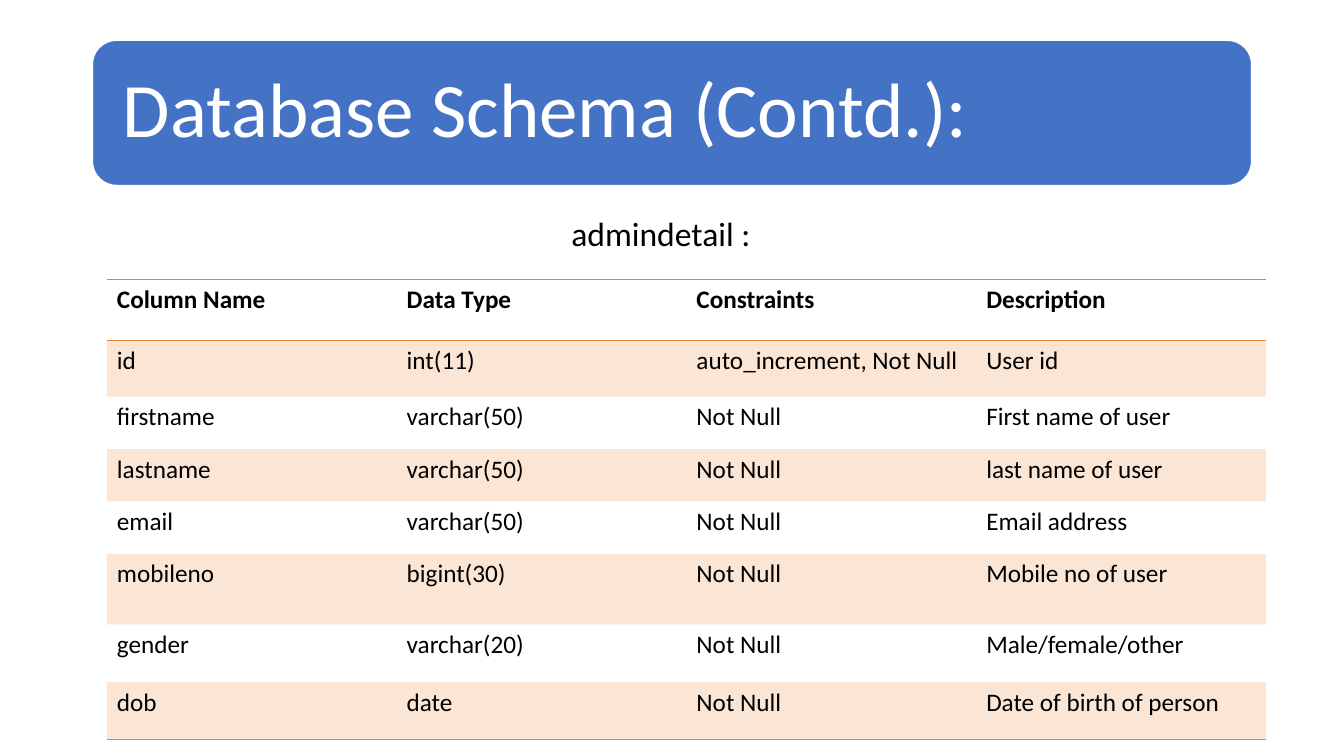
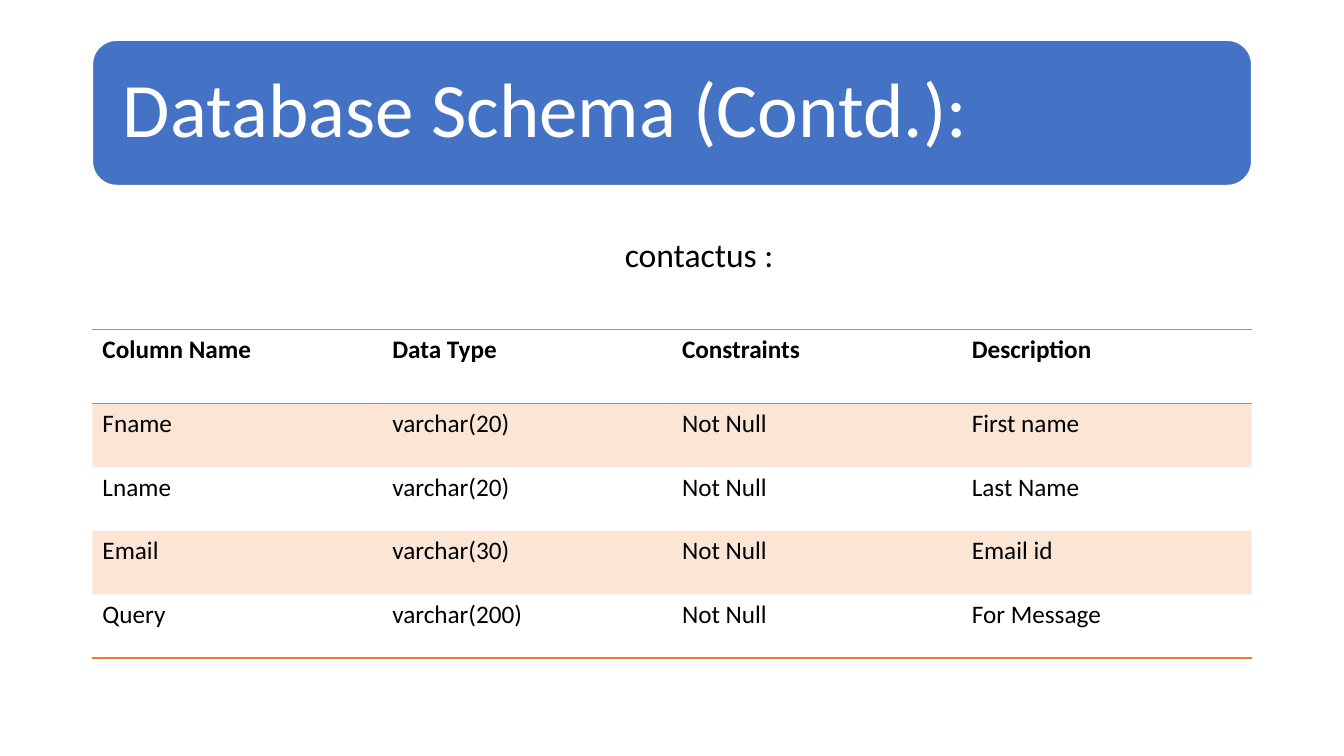
"""Build the database schema slides."""
from dataclasses import dataclass

from lxml import etree
from pptx import Presentation
from pptx import util as u
from pptx.dml.color import RGBColor
from pptx.enum import shapes, text
from pptx.oxml import ns

HEADINGS = ("Column Name", "Data Type", "Constraints", "Description")
ADMIN_FIELDS = (
    ("id", "int(11)", "auto_increment, Not Null", "User id"),
    ("firstname", "varchar(50)", "Not Null", "First name of user"),
    ("lastname", "varchar(50)", "Not Null", "last name of user"),
    ("email", "varchar(50)", "Not Null", "Email address"),
    ("mobileno", "bigint(30)", "Not Null", "Mobile no of user"),
    ("gender", "varchar(20)", "Not Null", "Male/female/other"),
    ("dob", "date", "Not Null", "Date of birth of person"),
)
CONTACT_FIELDS = (
    ("Fname", "varchar(20)", "Not Null", "First name"),
    ("Lname", "varchar(20)", "Not Null", "Last Name"),
    ("Email", "varchar(30)", "Not Null", "Email id"),
    ("Query", "varchar(200)", "Not Null", "For Message"),
)


@dataclass(frozen=True)
class Theme:
    """Colours, fonts, type sizes and the slide grid."""
    font: str = "Calibri"
    ink: str = "000000"
    paper: str = "FFFFFF"
    band: str = "4472C4"
    accent: str = "ED7D31"
    stripe_opacity: int = 20
    title_size: int = 55
    label_size: int = 24
    cell_size: int = 18
    rule_width: int = 1
    columns: int = 160
    rows: int = 90
    margin: int = 11
    content_width: int = 138
    plain_table: str = "{2D5ABB26-0587-4C30-8999-92F81FD0307C}"


class Deck:
    """Presentation with a theme and a current slide."""

    def __init__(self, theme):
        """Open an empty widescreen presentation."""
        self.theme = theme
        self.prs = Presentation()
        self.prs.slide_width, self.prs.slide_height = u.Inches(13.33), u.Inches(7.5)
        self.slide = None

    def across(self, columns):
        """Return the length of some grid columns."""
        return u.Emu(round(self.prs.slide_width * columns / self.theme.columns))

    def down(self, rows):
        """Return the length of some grid rows."""
        return u.Emu(round(self.prs.slide_height * rows / self.theme.rows))

    def place(self, left, top, width, height):
        """Return a grid box as lengths."""
        return self.across(left), self.down(top), self.across(width), self.down(height)

    def style(self, paragraph, size, colour, bold=False):
        """Set the font of a paragraph."""
        font = paragraph.font
        font.name, font.size, font.bold = self.theme.font, u.Pt(size), bold
        font.color.rgb = RGBColor.from_string(colour)

    def titled_slide(self, heading):
        """Add a slide with its title on a rounded band."""
        theme = self.theme
        self.slide = self.prs.slides.add_slide(self.prs.slide_layouts[5])
        band = self.slide.shapes.add_shape(
            shapes.MSO_SHAPE.ROUNDED_RECTANGLE,
            *self.place(theme.margin, 4.8, theme.content_width, 17.28))
        band.shadow.inherit = False
        band.fill.solid()
        band.fill.fore_color.rgb = RGBColor.from_string(theme.band)
        band.line.color.rgb = RGBColor.from_string(theme.paper)
        band.line.width = u.Pt(theme.rule_width)

        title = self.slide.shapes.title
        title.left, title.top, title.width, title.height = self.place(11.88, 5.64, 136.32, 15.6)
        band._element.addnext(title._element)
        frame = title.text_frame
        frame.text = heading
        frame.word_wrap, frame.auto_size = True, text.MSO_AUTO_SIZE.NONE
        frame.vertical_anchor = text.MSO_ANCHOR.MIDDLE
        frame.margin_left = frame.margin_right = u.Inches(0.23)
        frame.margin_top = frame.margin_bottom = u.Inches(0.23)
        paragraph = frame.paragraphs[0]
        paragraph.alignment, paragraph.line_spacing = text.PP_ALIGN.LEFT, 0.9
        self.style(paragraph, theme.title_size, theme.paper)

    def label(self, caption, left, top, width):
        """Add the name of a database table."""
        frame = self.slide.shapes.add_textbox(*self.place(left, top, width, 6)).text_frame
        frame.text, frame.word_wrap = caption, True
        self.style(frame.paragraphs[0], self.theme.label_size, self.theme.ink)

    def rule(self, cell, edge):
        """Draw an accent border on one edge of a cell."""
        properties = cell._tc.get_or_add_tcPr()
        border = etree.Element(ns.qn(f"a:{edge}"), w=str(int(u.Pt(self.theme.rule_width))))
        fill = etree.SubElement(border, ns.qn("a:solidFill"))
        etree.SubElement(fill, ns.qn("a:srgbClr"), val=self.theme.accent)
        properties.insert(len(properties.findall(ns.qn("a:lnT"))), border)

    def stripe(self, cell):
        """Fill a cell with the see-through accent colour."""
        cell.fill.solid()
        cell.fill.fore_color.rgb = RGBColor.from_string(self.theme.accent)
        colour = cell._tc.tcPr.find(".//" + ns.qn("a:srgbClr"))
        etree.SubElement(colour, ns.qn("a:alpha"), val=str(self.theme.stripe_opacity * 1000))

    def schema(self, fields, left, top, heights):
        """Add a striped table of field definitions."""
        records = (HEADINGS, *fields)
        table = self.slide.shapes.add_table(
            len(records), len(HEADINGS),
            *self.place(left, top, self.theme.content_width, sum(heights))).table
        table.horz_banding = False
        table._tbl.tblPr.find(ns.qn("a:tableStyleId")).text = self.theme.plain_table
        for column in table.columns:
            column.width = self.across(self.theme.content_width / len(HEADINGS))
        for index, (record, height) in enumerate(zip(records, heights)):
            table.rows[index].height = self.down(height)
            for cell, entry in zip(table.rows[index].cells, record):
                cell.text = entry
                self.style(cell.text_frame.paragraphs[0], self.theme.cell_size,
                           self.theme.ink, bold=index == 0)
                if index % 2:
                    self.stripe(cell)
                else:
                    cell.fill.background()
                if index == 0:
                    self.rule(cell, "lnT")
                if index in (0, len(fields)):
                    self.rule(cell, "lnB")


def main():
    """Build and save both slides."""
    deck = Deck(Theme())
    heading = "Database Schema (Contd.):"

    deck.titled_slide(heading)
    deck.schema(ADMIN_FIELDS, 12.72, 33.3, (7.26, 6.67, 6.24, 6.24, 6.24, 8.4, 6.87, 6.87))
    deck.label("admindetail :", 66.84, 24.72, 26.28)

    deck.titled_slide(heading)
    deck.schema(CONTACT_FIELDS, deck.theme.margin, 39.24, (8.82, *[7.57] * len(CONTACT_FIELDS)))
    deck.label("contactus :", 73.2, 27.24, 24.6)

    deck.prs.save("out.pptx")


if __name__ == "__main__":
    main()
